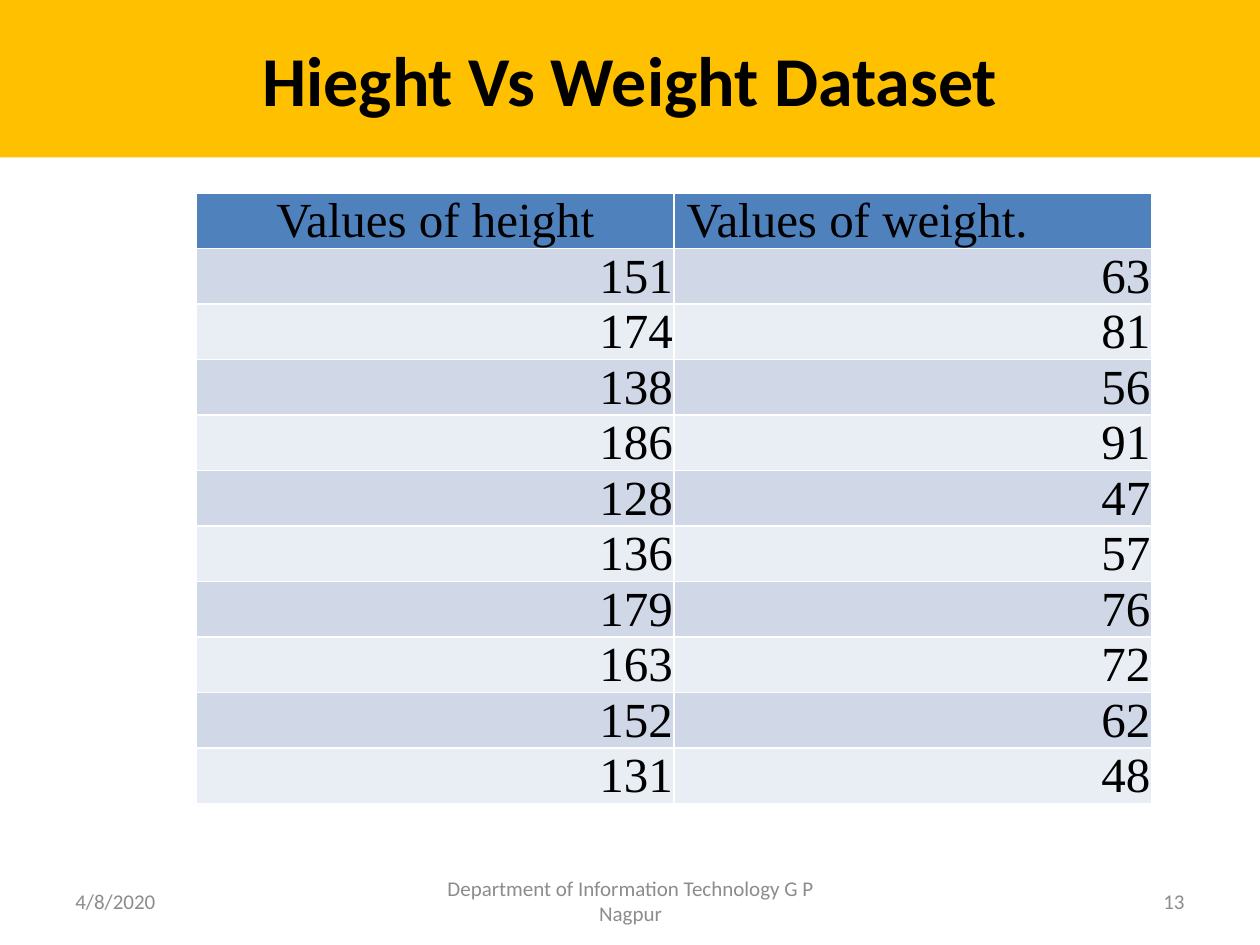
from pptx import Presentation
from pptx.dml.color import RGBColor
from pptx.enum.shapes import MSO_SHAPE
from pptx.enum.text import MSO_ANCHOR, PP_ALIGN
from pptx.util import Inches, Pt

LEFT, CENTER, RIGHT = PP_ALIGN.LEFT, PP_ALIGN.CENTER, PP_ALIGN.RIGHT
MIDDLE, BOTTOM = MSO_ANCHOR.MIDDLE, MSO_ANCHOR.BOTTOM
RECTANGLE = MSO_SHAPE.RECTANGLE

AMBER = RGBColor(0xFF, 0xC0, 0x00)
BLACK = RGBColor(0x00, 0x00, 0x00)
GRAY = RGBColor(0x8C, 0x8C, 0x8C)
HEADER_BLUE = RGBColor(0x4F, 0x81, 0xBD)
BAND_DARK = RGBColor(0xD0, 0xD8, 0xE8)
BAND_LIGHT = RGBColor(0xE9, 0xED, 0xF4)

TITLE_FONT = {"name": "Calibri", "size": Pt(40), "bold": True}
TABLE_FONT = {"name": "Times New Roman", "size": Pt(28), "bold": False}
FOOTER_FONT = {"name": "Calibri", "size": Pt(12), "bold": False}


def write(frame, text, align, font_format, color):
    paragraph = frame.paragraphs[0]
    paragraph.alignment = align
    run = paragraph.add_run()
    run.text = text
    for attribute, value in font_format.items():
        setattr(run.font, attribute, value)
    run.font.color.rgb = color


prs = Presentation()
prs.slide_width, prs.slide_height = Inches(10), Inches(7.5)
slide = prs.slides.add_slide(prs.slide_layouts[6])

# Title band
title = slide.shapes.add_shape(RECTANGLE, 0, 0, prs.slide_width, Inches(1.25))
title.shadow.inherit = False
title.fill.solid()
title.fill.fore_color.rgb = AMBER
title.line.fill.background()
title.text_frame.vertical_anchor = MIDDLE
write(title.text_frame, "Hieght Vs Weight Dataset", CENTER, TITLE_FONT, BLACK)

# Height and weight table; its default style draws the white grid
rows = [
    ("Values of height", " Values of weight."),
    (151, 63), (174, 81), (138, 56), (186, 91), (128, 47),
    (136, 57), (179, 76), (163, 72), (152, 62), (131, 48),
]
CELL_FORMAT = {
    "vertical_anchor": BOTTOM,
    "margin_left": Inches(0.01),
    "margin_top": Inches(0.01),
    "margin_right": Inches(0.01),
    "margin_bottom": 0,
}
ROW_HEIGHT = 0.44
dataset = slide.shapes.add_table(
    len(rows), 2, Inches(1.56), Inches(1.53),
    Inches(7.58), Inches(ROW_HEIGHT * len(rows))).table

for r, values in enumerate(rows):
    if r == 0:
        band, aligns = HEADER_BLUE, (CENTER, LEFT)
    else:
        band, aligns = (BAND_DARK if r % 2 else BAND_LIGHT), (RIGHT, RIGHT)
    for c, (value, align) in enumerate(zip(values, aligns)):
        cell = dataset.cell(r, c)
        for attribute, setting in CELL_FORMAT.items():
            setattr(cell, attribute, setting)
        cell.fill.solid()
        cell.fill.fore_color.rgb = band
        write(cell.text_frame, str(value), align, TABLE_FONT, BLACK)

# Footer: date, department, page number
footers = [
    ("4/8/2020", 0.5, 2.33, LEFT),
    ("Department of Information Technology G P Nagpur", 3.42, 3.17, CENTER),
    ("13", 7.17, 2.33, RIGHT),
]
for text, left, width, align in footers:
    footer = slide.shapes.add_textbox(
        Inches(left), Inches(6.95), Inches(width), Inches(0.4)).text_frame
    footer.word_wrap = True
    footer.vertical_anchor = MIDDLE
    write(footer, text, align, FOOTER_FONT, GRAY)

prs.save("out.pptx")
